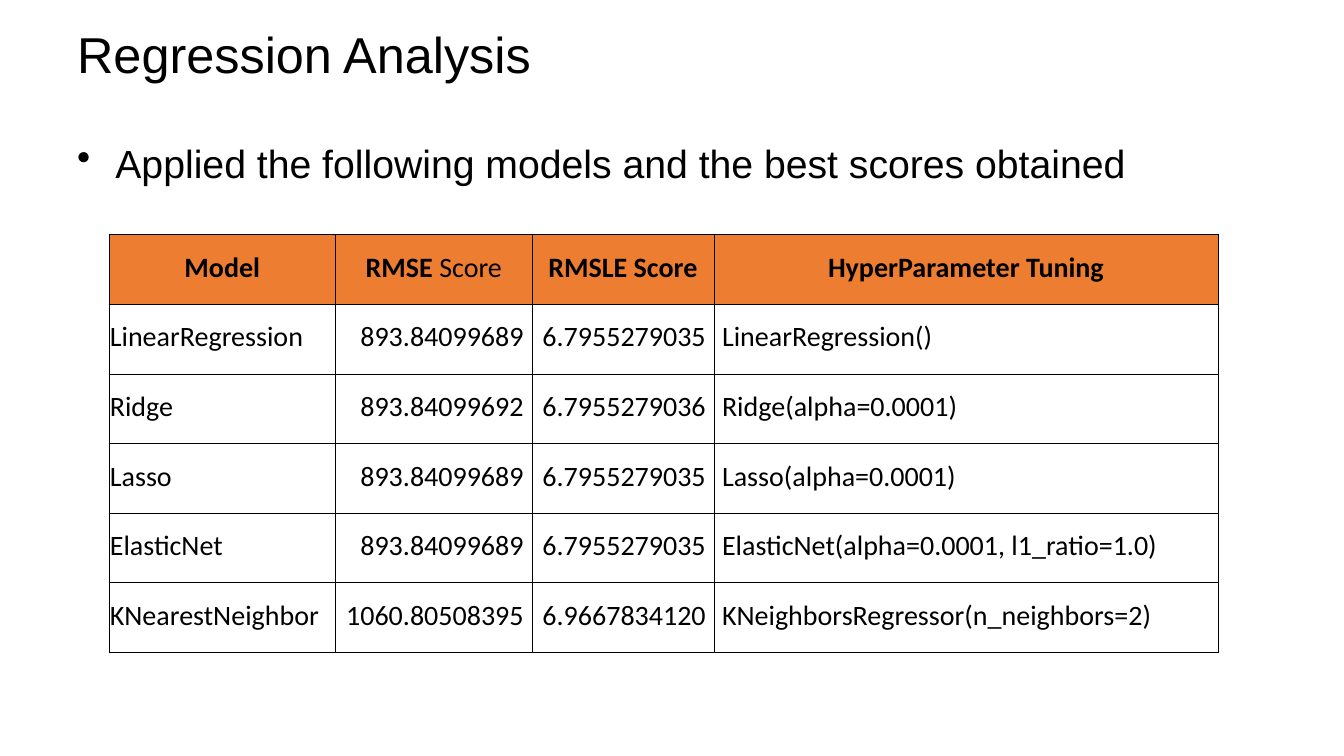
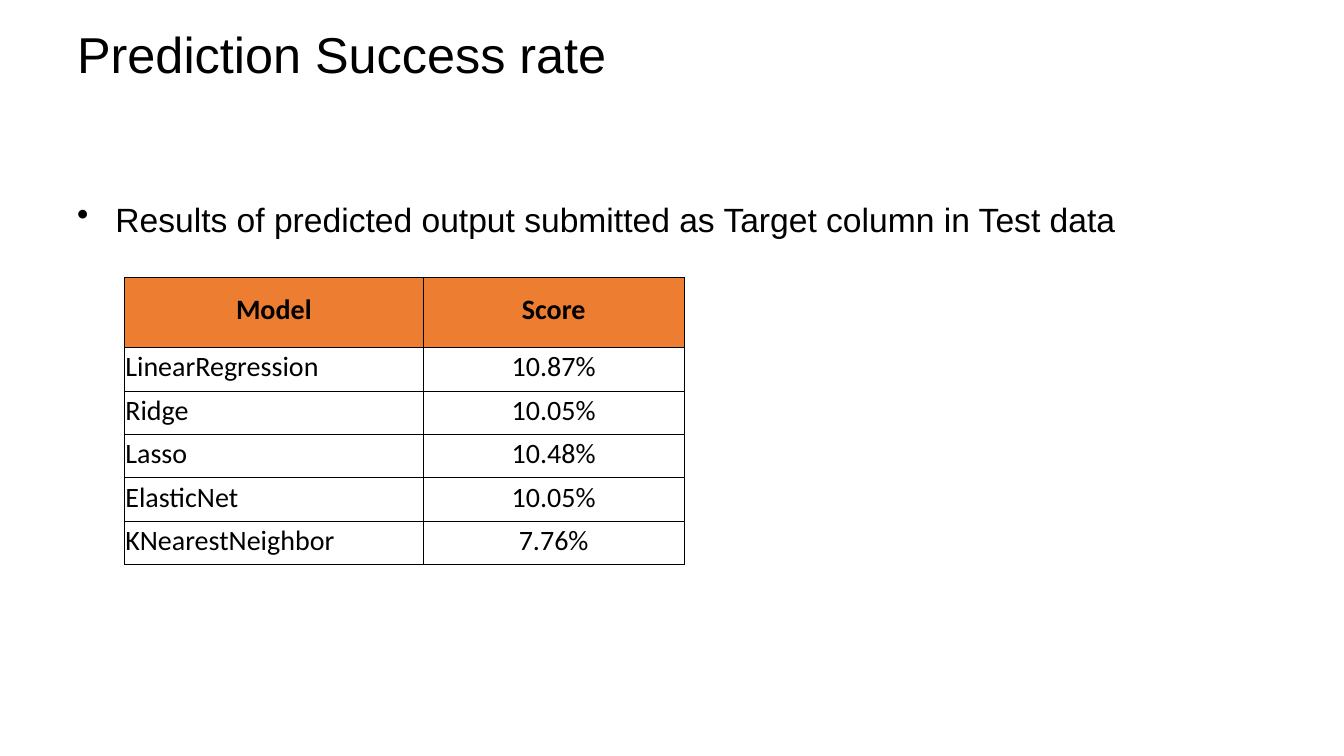
import dataclasses

import lxml.etree
import pptx
import pptx.dml.color
import pptx.enum.text
import pptx.oxml.ns
import pptx.presentation
import pptx.shapes.autoshape
import pptx.slide
import pptx.table
import pptx.text.text
import pptx.util

SLIDE_WIDTH = pptx.util.Inches(13.333)
SLIDE_HEIGHT = pptx.util.Inches(7.5)

BLACK = "000000"
ORANGE = "ED7D31"
TEXT_FONT = "Arial"
TABLE_FONT = "Calibri"
TITLE_SIZE = 36
TABLE_SIZE = 20
BORDER_WIDTH = pptx.util.Pt(0.5)
BULLET_INDENT = pptx.util.Inches(0.38)
TIGHT_INSET = 0.01
WIDE_INSET = 0.08

LEFT = pptx.enum.text.PP_ALIGN.LEFT
CENTER = pptx.enum.text.PP_ALIGN.CENTER
RIGHT = pptx.enum.text.PP_ALIGN.RIGHT
MIDDLE = pptx.enum.text.MSO_ANCHOR.MIDDLE


@dataclasses.dataclass(frozen=True)
class Box:
    """An area in percent of the slide's width and height."""

    left: float
    top: float
    width: float
    height: float


@dataclasses.dataclass(frozen=True)
class Column:
    """A table column; its width is in percent of the slide's width."""

    heading: str
    width: float
    alignment: pptx.enum.text.PP_ALIGN = LEFT
    inset: float = TIGHT_INSET
    light_heading: str = ""


@dataclasses.dataclass(frozen=True)
class ScoreTable:
    """A table whose place and row heights are in percent of the slide."""

    left: float
    top: float
    header_height: float
    row_height: float
    columns: list[Column]
    rows: list[tuple[str, ...]]


@dataclasses.dataclass(frozen=True)
class ResultSlide:
    title: str
    bullet: str
    bullet_size: float
    bullet_box: Box
    bullet_inset: float
    table: ScoreTable


TITLE_BOX = Box(5, 2.8, 90, 8.5)

RESULT_SLIDES = [
    ResultSlide(
        title="Regression Analysis",
        bullet="Applied the following models and the best scores obtained",
        bullet_size=28,
        bullet_box=Box(5, 17.07, 90, 74.93),
        bullet_inset=0.1,
        table=ScoreTable(
            left=8.1,
            top=31.05,
            header_height=9.25,
            row_height=9.2,
            columns=[
                Column("Model", 16.88),
                Column("RMSE ", 14.6, RIGHT, WIDE_INSET, light_heading="Score"),
                Column("RMSLE Score", 13.55, RIGHT, WIDE_INSET),
                Column("HyperParameter Tuning", 37.5, LEFT, WIDE_INSET),
            ],
            rows=[
                ("LinearRegression", "893.84099689", "6.7955279035",
                 "LinearRegression()"),
                ("Ridge", "893.84099692", "6.7955279036",
                 "Ridge(alpha=0.0001)"),
                ("Lasso", "893.84099689", "6.7955279035",
                 "Lasso(alpha=0.0001)"),
                ("ElasticNet", "893.84099689", "6.7955279035",
                 "ElasticNet(alpha=0.0001, l1_ratio=1.0)"),
                ("KNearestNeighbor", "1060.80508395", "6.9667834120",
                 "KNeighborsRegressor(n_neighbors=2)"),
            ],
        ),
    ),
    ResultSlide(
        title="Prediction Success rate",
        bullet="Results of predicted output submitted as Target column in Test data",
        bullet_size=24,
        bullet_box=Box(5, 17.07, 83.55, 72.27),
        bullet_inset=0.69,
        table=ScoreTable(
            left=9.25,
            top=36.7,
            header_height=9.25,
            row_height=5.75,
            columns=[Column("Model", 22.25), Column("Score", 19.4, CENTER)],
            rows=[
                ("LinearRegression", "10.87%"),
                ("Ridge", "10.05%"),
                ("Lasso", "10.48%"),
                ("ElasticNet", "10.05%"),
                ("KNearestNeighbor", "7.76%"),
            ],
        ),
    ),
]


def across(percent: float) -> int:
    return round(SLIDE_WIDTH * percent / 100)


def down(percent: float) -> int:
    return round(SLIDE_HEIGHT * percent / 100)


def color(hex_code: str) -> pptx.dml.color.RGBColor:
    return pptx.dml.color.RGBColor.from_string(hex_code)


def style_paragraph(
    paragraph: pptx.text.text._Paragraph, font_name: str, size: float
) -> None:
    paragraph.font.name = font_name
    paragraph.font.size = pptx.util.Pt(size)
    paragraph.font.color.rgb = color(BLACK)


def add_text(
    slide: pptx.slide.Slide, box: Box, text: str, size: float
) -> pptx.shapes.autoshape.Shape:
    shape = slide.shapes.add_textbox(
        across(box.left), down(box.top), across(box.width), down(box.height)
    )
    shape.text_frame.word_wrap = True
    paragraph = shape.text_frame.paragraphs[0]
    paragraph.text = text
    style_paragraph(paragraph, TEXT_FONT, size)
    return shape


def add_title(slide: pptx.slide.Slide, title: str) -> None:
    shape = add_text(slide, TITLE_BOX, title, TITLE_SIZE)
    shape.text_frame.vertical_anchor = MIDDLE


def add_bullet(slide: pptx.slide.Slide, content: ResultSlide) -> None:
    shape = add_text(slide, content.bullet_box, content.bullet, content.bullet_size)
    shape.text_frame.margin_top = pptx.util.Inches(content.bullet_inset)
    properties = shape.text_frame.paragraphs[0]._p.get_or_add_pPr()
    properties.set("marL", str(BULLET_INDENT))
    properties.set("indent", str(-BULLET_INDENT))
    bullet = pptx.oxml.ns.qn("a:buChar")
    properties.insert(0, properties.makeelement(bullet, {"char": "•"}))


def add_borders(cell: pptx.table._Cell) -> None:
    properties = cell._tc.get_or_add_tcPr()
    qualified = pptx.oxml.ns.qn
    for side in ("L", "R", "T", "B"):
        line = lxml.etree.SubElement(
            properties, qualified(f"a:ln{side}"), {"w": str(BORDER_WIDTH)}
        )
        fill = lxml.etree.SubElement(line, qualified("a:solidFill"))
        lxml.etree.SubElement(fill, qualified("a:srgbClr"), {"val": BLACK})


def fill_cell(
    cell: pptx.table._Cell,
    text: str,
    alignment: pptx.enum.text.PP_ALIGN,
    inset: float = TIGHT_INSET,
) -> pptx.text.text._Paragraph:
    """Write and frame one cell, and return its paragraph."""
    add_borders(cell)
    cell.fill.background()
    cell.vertical_anchor = MIDDLE
    cell.margin_left = cell.margin_right = pptx.util.Inches(inset)
    cell.margin_top = pptx.util.Inches(TIGHT_INSET)
    cell.margin_bottom = pptx.util.Inches(0.05)
    paragraph = cell.text_frame.paragraphs[0]
    paragraph.text = text
    paragraph.alignment = alignment
    style_paragraph(paragraph, TABLE_FONT, TABLE_SIZE)
    return paragraph


def fill_heading(cell: pptx.table._Cell, column: Column) -> None:
    paragraph = fill_cell(cell, column.heading, CENTER)
    paragraph.font.bold = True
    cell.fill.solid()
    cell.fill.fore_color.rgb = color(ORANGE)
    if column.light_heading:
        run = paragraph.add_run()
        run.text = column.light_heading
        run.font.bold = False


def add_score_table(slide: pptx.slide.Slide, content: ScoreTable) -> None:
    heights = [content.header_height] + [content.row_height] * len(content.rows)
    table = slide.shapes.add_table(
        len(heights),
        len(content.columns),
        across(content.left),
        down(content.top),
        across(sum(column.width for column in content.columns)),
        down(sum(heights)),
    ).table
    table.first_row = False
    table.horz_banding = False
    for row, height in zip(table.rows, heights):
        row.height = down(height)
    for column_index, column in enumerate(content.columns):
        table.columns[column_index].width = across(column.width)
        fill_heading(table.cell(0, column_index), column)
        for row_index, values in enumerate(content.rows, start=1):
            fill_cell(
                table.cell(row_index, column_index),
                values[column_index],
                column.alignment,
                column.inset,
            )


def add_result_slide(
    presentation: pptx.presentation.Presentation, content: ResultSlide
) -> None:
    slide = presentation.slides.add_slide(presentation.slide_layouts[6])
    add_title(slide, content.title)
    add_bullet(slide, content)
    add_score_table(slide, content.table)


def main() -> None:
    presentation = pptx.Presentation()
    presentation.slide_width = SLIDE_WIDTH
    presentation.slide_height = SLIDE_HEIGHT
    for content in RESULT_SLIDES:
        add_result_slide(presentation, content)
    presentation.save("out.pptx")


if __name__ == "__main__":
    main()
